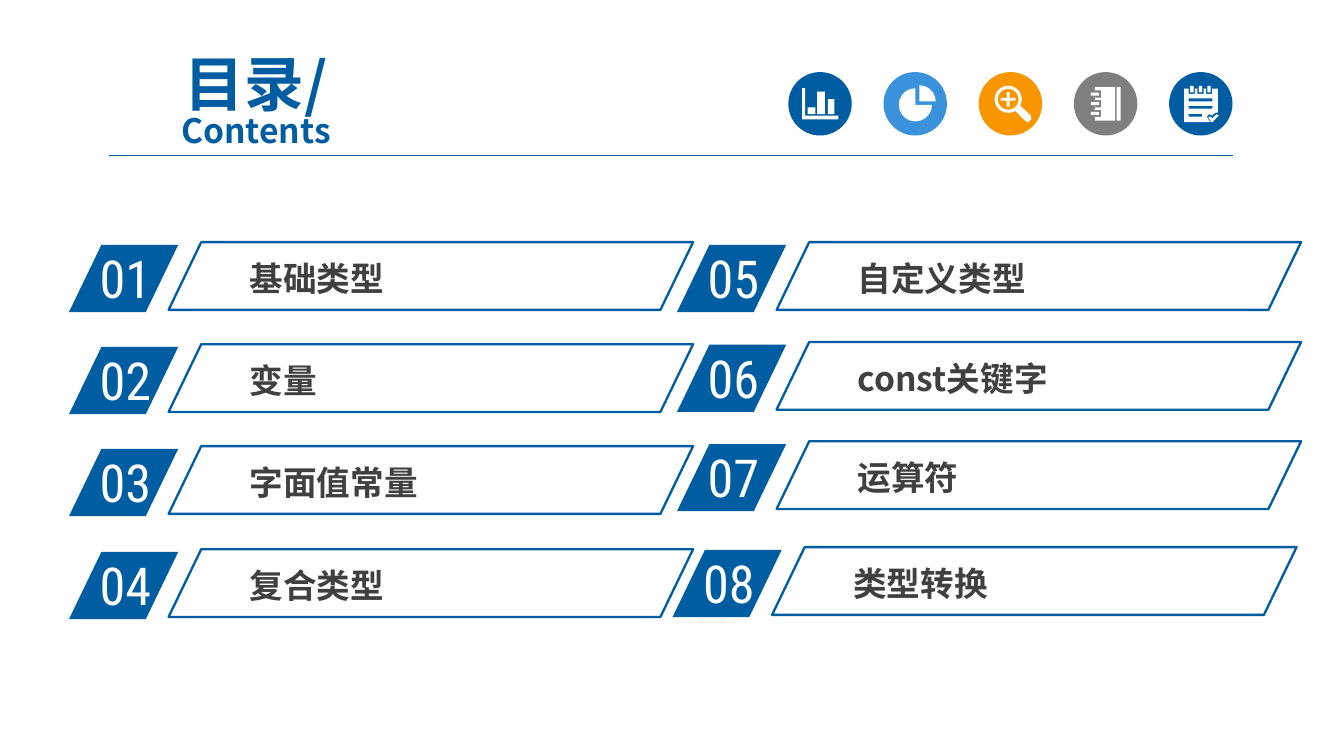
from math import cos, radians, sin

from lxml.etree import SubElement
from pptx import Presentation
from pptx.dml.color import RGBColor
from pptx.enum.shapes import MSO_CONNECTOR as Connector, MSO_SHAPE as Shape
from pptx.enum.text import MSO_ANCHOR as Anchor, PP_ALIGN as Align
from pptx.oxml.ns import qn
from pptx.util import Pt

COLORS = {"blue": "005DA2", "rule": "005B9E", "sky": "3992DB", "orange": "F79600",
          "gray": "7F7F7F", "ink": "404040", "white": "FFFFFF"}
CHINESE, NUMERALS = "Noto Sans CJK SC", "Roboto Condensed"
SLANT = 0.482
ICON_SIZE, ICON_LEFT, ICON_TOP, ICON_STEP = 34, 422.3, 38.6, 51

# Left, top, number and label of each entry
ENTRIES = [
    (37, 131.2, "01", "基础类型"),
    (37, 185.9, "02", "变量"),
    (37, 240.5, "03", "字面值常量"),
    (37, 295.7, "04", "复合类型"),
    (362.7, 131.2, "05", "自定义类型"),
    (362.7, 184.7, "06", "const关键字"),
    (362.7, 237.9, "07", "运算符"),
    (360.3, 294.6, "08", "类型转换"),
]


def color(name):
    return RGBColor.from_string(COLORS[name])


def arc(x, y, radius, start, end):
    """Points on a circle, clockwise from start to end in degrees."""
    angles = [radians(angle) for angle in range(start, end + 1, 18)]
    return [(x + radius * cos(a), y + radius * sin(a)) for a in angles]


def box(left, top, right, bottom):
    return [(left, top), (right, top), (right, bottom), (left, bottom)]


def bars_icon():
    axes = [(7.4, 8.6), (9.1, 8.6), (9.1, 23.4), (26.8, 23.4), (26.8, 25.3), (7.4, 25.3)]
    return [axes, box(10.4, 18.9, 14.6, 22.6), box(15.5, 10.5, 19.7, 22.6),
            box(21.2, 14.5, 24.8, 22.6)]


def pie_icon():
    return [[(19.3, 15.8)] + arc(19.3, 15.8, 8.7, 270, 360),
            [(17.1, 17.6)] + arc(17.1, 17.6, 8.9, 0, 270)]


def magnifier_icon():
    x, y, reach, half = 15.8, 14.6, 4, 0.8
    arm = [(half, -half), (reach, -half), (reach, half)]
    plus = []
    for _ in range(4):
        plus += [(x + dx, y + dy) for dx, dy in arm]
        arm = [(-dy, dx) for dx, dy in arm]
    handle = [(19.6, 20.9), (22.4, 18.2), (28, 23.4), (28.2, 25.2), (26.6, 26.9), (25, 26.2)]
    return [arc(x, y, 7.3, 0, 359), arc(x, y, 5.6, 0, 359), plus, handle]


def notebook_icon():
    outlines = [box(11.3, 8.1, 22.1, 26.1), box(22.9, 8.1, 25, 26.1)]
    for y in (11.8, 17, 22.2):
        outlines += [box(11.3, y - 1.9, 14.6, y + 1.9), box(9.1, y - 0.8, 13.5, y + 0.8)]
    return outlines


def checklist_icon():
    page = [(8.1, 8.9), (26.1, 8.9), (26.1, 21.8), (24.8, 21.8), (23, 23.3), (21.5, 22.5),
            (20.2, 24), (22.2, 26.9), (8.1, 26.9)]
    tick = [(21, 24.2), (22, 23.8), (23.2, 24.8), (25.4, 22.6), (26.6, 23.3),
            (23.3, 26.9), (22.6, 26.7)]
    outlines = [page, tick]
    for x in (12.2, 16.8, 21.4):
        outlines += [box(x - 1.7, 8.9, x + 1.7, 11.7), box(x - 0.9, 7.4, x + 0.9, 10.9)]
    for y, right in ((14.2, 23.2), (18.2, 23.2), (22.4, 17.7)):
        outlines.append(box(10.5, y, right, y + 1.5))
    return outlines


ICONS = [("blue", bars_icon), ("sky", pie_icon), ("orange", magnifier_icon),
         ("gray", notebook_icon), ("blue", checklist_icon)]


def add_text(paragraph, text, *, size, font, ink, bold=False):
    run = paragraph.add_run()
    run.text = text
    run.font.size, run.font.bold, run.font.name = Pt(size), bold, font
    run.font.color.rgb = color(ink)
    SubElement(run.font._element, qn("a:ea")).set("typeface", font)


class ContentsSlide:
    def __init__(self, presentation):
        self.slide = presentation.slides.add_slide(presentation.slide_layouts[6])
        self.shapes = self.slide.shapes

    def paint(self, shape, fill=None, line=None):
        shape.shadow.inherit = False
        if fill:
            shape.fill.solid()
            shape.fill.fore_color.rgb = color(fill)
        else:
            shape.fill.background()
        if line:
            shape.line.color.rgb = color(line)
            shape.line.width = Pt(1.25)
        else:
            shape.line.fill.background()

    def preset(self, kind, left, top, width, height, **paint):
        shape = self.shapes.add_shape(kind, Pt(left), Pt(top), Pt(width), Pt(height))
        self.paint(shape, **paint)
        if kind == Shape.PARALLELOGRAM:
            shape.adjustments[0] = SLANT

    def text_box(self, left, top, width, height, margins=(7.2, 3.6), anchor=Anchor.TOP):
        """Add a wrapping text box and return its first paragraph."""
        frame = self.shapes.add_textbox(Pt(left), Pt(top), Pt(width), Pt(height)).text_frame
        frame.word_wrap = True
        frame.vertical_anchor = anchor
        frame.margin_left = frame.margin_right = Pt(margins[0])
        frame.margin_top = frame.margin_bottom = Pt(margins[1])
        return frame.paragraphs[0]

    def title(self, heading, subheading):
        paragraph = self.text_box(48.2, 37, 178, 39, anchor=Anchor.MIDDLE)
        paragraph.alignment = Align.CENTER
        paragraph.line_spacing = 0.8
        add_text(paragraph, heading, size=32, font=CHINESE, ink="blue", bold=True)
        paragraph.add_line_break()
        add_text(paragraph, subheading, size=18, font=CHINESE, ink="blue", bold=True)

    def rule(self, left, right, y):
        line = self.shapes.add_connector(Connector.STRAIGHT, Pt(left), Pt(y), Pt(right), Pt(y))
        line.line.color.rgb = color("rule")
        line.line.width = Pt(0.75)
        SubElement(line._element.spPr, qn("a:effectLst"))

    def icon(self, left, top, fill, outlines):
        """Add a disc with a white symbol; overlapping outlines cut holes."""
        self.preset(Shape.OVAL, left, top, ICON_SIZE, ICON_SIZE, fill=fill)
        builder = None
        for outline in outlines:
            start, *rest = [(Pt(left + x), Pt(top + y)) for x, y in outline]
            if builder is None:
                builder = self.shapes.build_freeform(*start)
            else:
                builder.move_to(*start)
            builder.add_line_segments(rest, close=True)
        self.paint(builder.convert_to_shape(), fill="white")

    def entry(self, left, top, number, label):
        self.preset(Shape.PARALLELOGRAM, left, top, 58.5, 36, fill="blue")
        paragraph = self.text_box(left + 9.3, top - 2.7, 56, 41)
        add_text(paragraph, number, size=28, font=NUMERALS, ink="white")
        paragraph = self.text_box(left + 91.8, top + 4.2, 206, 27.5, margins=(5, 2.7))
        add_text(paragraph, label, size=18, font=CHINESE, ink="ink", bold=True)
        self.preset(Shape.PARALLELOGRAM, left + 53.3, top - 1.5, 281, 36.3, line="blue")


def main():
    presentation = Presentation()
    presentation.slide_width, presentation.slide_height = Pt(720), Pt(405)
    contents = ContentsSlide(presentation)
    contents.title("目录/", "Contents")
    contents.rule(58.4, 660.3, 83.3)
    for index, (fill, outlines) in enumerate(ICONS):
        contents.icon(ICON_LEFT + index * ICON_STEP, ICON_TOP, fill, outlines())
    for entry in ENTRIES:
        contents.entry(*entry)
    presentation.save("out.pptx")


if __name__ == "__main__":
    main()
